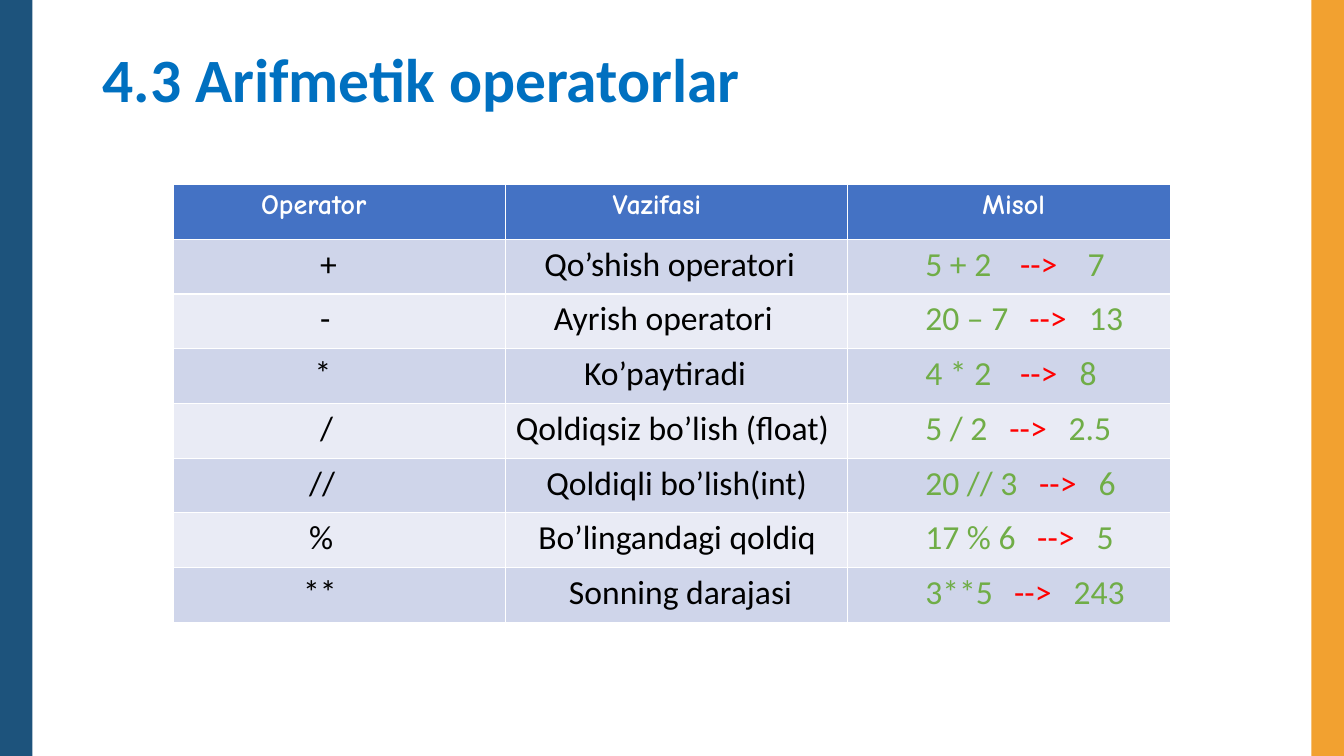
from lxml import etree
from pptx import Presentation, util as u
from pptx.dml.color import RGBColor
from pptx.enum import shapes, text
from pptx.oxml.ns import qn

NAVY = RGBColor(0x1D, 0x53, 0x7C)
ORANGE = RGBColor(0xF2, 0xA1, 0x30)
TITLE_BLUE = RGBColor(0x00, 0x70, 0xC0)
HEADER_BLUE = RGBColor(0x44, 0x72, 0xC4)
BAND_DARK = RGBColor(0xCF, 0xD5, 0xEA)
BAND_LIGHT = RGBColor(0xE9, 0xEB, 0xF5)
GREEN = RGBColor(0x70, 0xAD, 0x47)
RED = RGBColor(0xFF, 0x00, 0x00)
BLACK = RGBColor(0x00, 0x00, 0x00)
WHITE = RGBColor(0xFF, 0xFF, 0xFF)

COLUMN_WIDTHS = (8.37, 8.6, 8.14)
ROW_HEIGHT = 1.38
CELL_MARGIN = 0.25
EXAMPLE_INDENT = 1.72

# Each entry is a text and its indent in cm.
HEADERS = (("Operator", 1.95), ("Vazifasi", 2.44), ("Misol", 3.16))

# Operator, task, then expression, result, arrow tab and result tab in cm.
OPERATORS = (
    (("+", 3.44), ("Qo’shish operatori", 0.72), ("5 + 2", "7", 2.39, 4.09)),
    (("-", 3.44), ("Ayrish operatori", 0.96), ("20 – 7", "13", 2.62, 4.13)),
    (("*", 3.3), ("Ko’paytiradi", 1.72), ("4 * 2", "8", 2.39, 3.89)),
    (("/", 3.44), ("Qoldiqsiz bo’lish (float)", 0), ("5 / 2", "2.5", 2.12, 3.61)),
    (("//", 3.16), ("Qoldiqli bo’lish(int)", 0.77), ("20 // 3", "6", 2.87, 4.37)),
    (("%", 3.16), ("Bo’lingandagi qoldiq", 0.57), ("17 % 6", "5", 2.82, 4.32)),
    (("**", 3.01), ("Sonning darajasi", 1.34), ("3**5", "243", 2.24, 3.74)),
)


class SlideBuilder:
    body_font = "Calibri"
    header_font = "Comic Neue"

    def __init__(self, presentation):
        self.slide = presentation.slides.add_slide(presentation.slide_layouts[5])

    def style(self, font, name, size, color, bold=False):
        font.name, font.size, font.bold = name, u.Pt(size), bold
        font.color.rgb = color

    def title(self, wording, left, top, width, height):
        shape = self.slide.shapes.title
        shape.left, shape.top = u.Cm(left), u.Cm(top)
        shape.width, shape.height = u.Cm(width), u.Cm(height)
        frame = shape.text_frame
        frame.text = wording
        frame.vertical_anchor = text.MSO_ANCHOR.MIDDLE
        paragraph = frame.paragraphs[0]
        paragraph.alignment = text.PP_ALIGN.LEFT
        paragraph.line_spacing = 0.9
        self.style(paragraph.font, self.body_font, 44, TITLE_BLUE, True)

    def stripe(self, left, top, color):
        shape = self.slide.shapes.add_shape(
            shapes.MSO_SHAPE.RECTANGLE, u.Cm(left), u.Cm(top), u.Cm(0.82), u.Cm(19.08))
        shape.shadow.inherit = False
        shape.fill.solid()
        shape.fill.fore_color.rgb = color
        shape.line.fill.background()

    def table(self, left, top, row_count):
        table = self.slide.shapes.add_table(
            row_count, len(COLUMN_WIDTHS), u.Cm(left), u.Cm(top),
            u.Cm(sum(COLUMN_WIDTHS)), u.Cm(ROW_HEIGHT * row_count)).table
        for column, width in zip(table.columns, COLUMN_WIDTHS):
            column.width = u.Cm(width)
        return table

    def cell(self, cell, fill, indent):
        """Fill and indent a cell, and return its paragraph."""
        cell.fill.solid()
        cell.fill.fore_color.rgb = fill
        cell.margin_left = u.Cm(CELL_MARGIN + indent)
        return cell.text_frame.paragraphs[0]

    def header(self, cell, wording, indent):
        paragraph = self.cell(cell, HEADER_BLUE, indent)
        paragraph.text = wording
        self.style(paragraph.font, self.header_font, 20, WHITE, True)

    def label(self, cell, fill, wording, indent):
        paragraph = self.cell(cell, fill, indent)
        paragraph.text = wording
        self.style(paragraph.font, self.body_font, 24, BLACK)

    def example(self, cell, fill, expression, result, *tabs):
        paragraph = self.cell(cell, fill, EXAMPLE_INDENT)
        properties = paragraph._p.get_or_add_pPr()
        tab_list = etree.SubElement(properties, qn("a:tabLst"))
        for position in tabs:
            etree.SubElement(tab_list, qn("a:tab"), pos=str(u.Cm(position)), algn="l")
        parts = ((expression, GREEN), ("\t-->", RED), ("\t" + result, GREEN))
        for wording, color in parts:
            run = paragraph.add_run()
            run.text = wording
            self.style(run.font, self.body_font, 24, color)


def main():
    presentation = Presentation()
    presentation.slide_width, presentation.slide_height = u.Cm(33.87), u.Cm(19.05)
    builder = SlideBuilder(presentation)
    builder.stripe(0, -0.03, NAVY)
    builder.stripe(33.05, 0, ORANGE)
    builder.title("4.3 Arifmetik operatorlar", 2.33, 0.25, 29.21, 3.68)

    table = builder.table(4.38, 4.65, len(OPERATORS) + 1)
    for column, (wording, indent) in enumerate(HEADERS):
        builder.header(table.cell(0, column), wording, indent)
    for row, (operator, task, example) in enumerate(OPERATORS, start=1):
        fill = BAND_DARK if row % 2 else BAND_LIGHT
        builder.label(table.cell(row, 0), fill, *operator)
        builder.label(table.cell(row, 1), fill, *task)
        builder.example(table.cell(row, 2), fill, *example)

    presentation.save("out.pptx")


if __name__ == "__main__":
    main()
